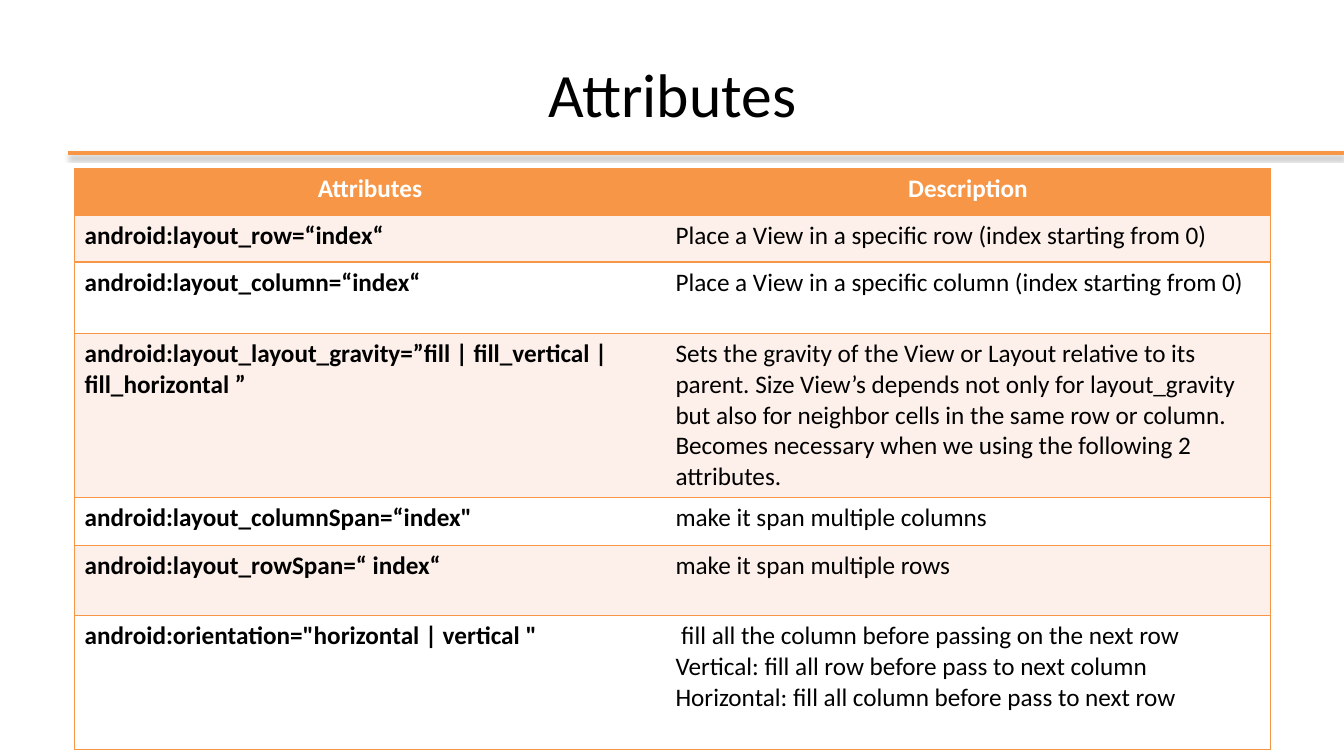
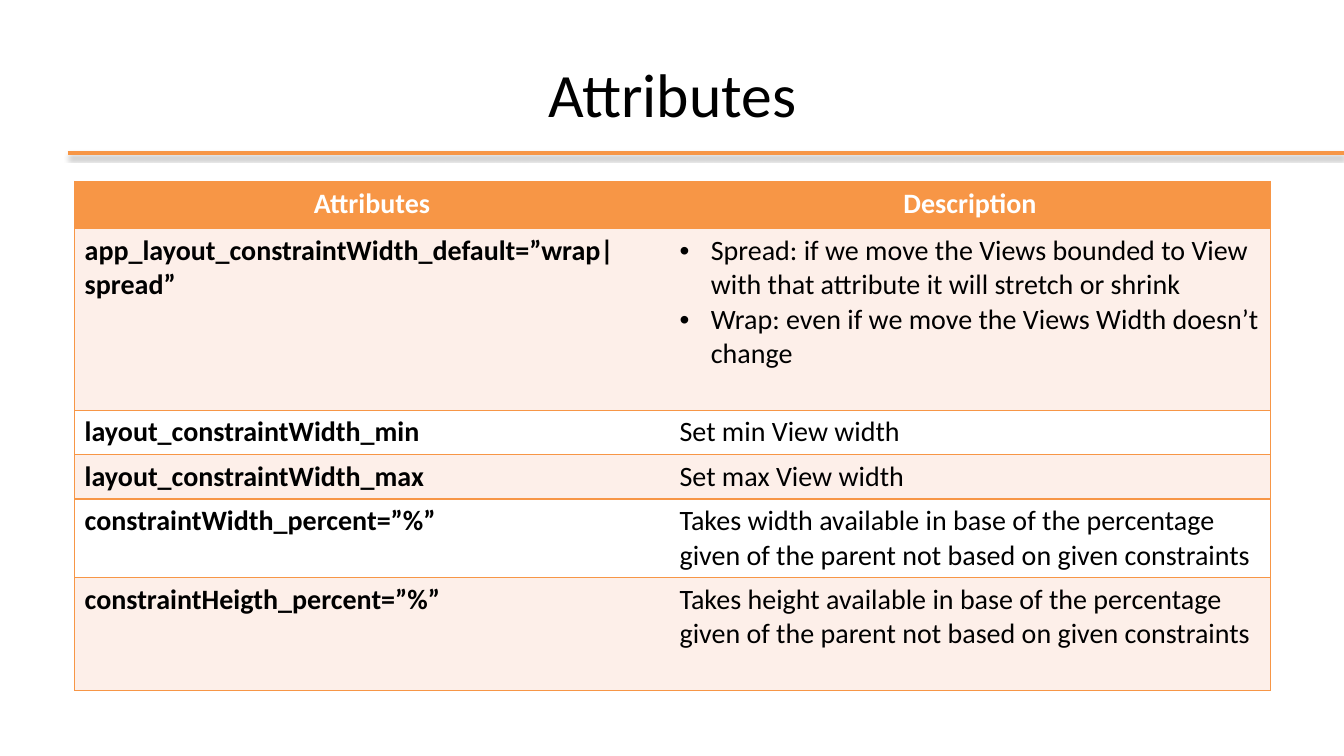
from dataclasses import dataclass

from lxml.etree import SubElement
from pptx import Presentation
from pptx.dml.color import RGBColor
from pptx.enum.shapes import MSO_CONNECTOR
from pptx.enum.text import MSO_ANCHOR, PP_ALIGN
from pptx.oxml.ns import qn
from pptx.util import Inches, Pt


@dataclass(frozen=True)
class Theme:
    """Colours, font and type sizes shared by the slides."""
    accent: str = "F79646"
    band: str = "FDEFE9"
    paper: str = "FFFFFF"
    ink: str = "000000"
    font: str = "Calibri"
    title: int = 44
    rule: int = 3
    border: int = 1


@dataclass(frozen=True)
class Row:
    """One table row: its height, attribute and description paragraphs."""
    height: float
    attribute: str
    description: tuple
    bulleted: bool = False


THEME = Theme()
TITLE = "Attributes"
TITLE_BOX = (0.67, 0.3, 12, 1.25)
HEADER = Row(0.47, "Attributes", ("Description",))

GRID_ROWS = (
    Row(0.46, "android:layout_row=“index“",
        ("Place a View in a specific row (index starting from 0)",)),
    Row(0.71, "android:layout_column=“index“",
        ("Place a View in a specific column (index starting from 0)",)),
    Row(1.63, "android:layout_layout_gravity=”fill | fill_vertical | fill_horizontal ”",
        ("Sets the gravity of the View or Layout relative to its parent. "
         "Size View’s depends not only for layout_gravity but also for "
         "neighbor cells in the same row or column.",
         "Becomes necessary when we using the following 2 attributes.")),
    Row(0.47, "android:layout_columnSpan=“index\"",
        ("make it span multiple columns",)),
    Row(0.7, "android:layout_rowSpan=“ index“",
        ("make it span multiple rows",)),
    Row(1.33, "android:orientation=\"horizontal | vertical \"",
        (" fill all the column before passing on the next row",
         "Vertical: fill all row before pass to next column",
         "Horizontal: fill all column before pass to next row")),
)

CONSTRAINT_ROWS = (
    Row(1.8, "app_layout_constraintWidth_default=”wrap| spread”",
        ("Spread: if we move the Views bounded to View with that attribute "
         "it will stretch or shrink",
         "Wrap: even if we move the Views Width doesn’t change"), True),
    Row(0.44, "layout_constraintWidth_min", ("Set min View width",)),
    Row(0.44, "layout_constraintWidth_max", ("Set max View width",)),
    Row(0.78, "constraintWidth_percent=”%”",
        ("Takes width available in base of the percentage given of the "
         "parent not based on given constraints",)),
    Row(1.12, "constraintHeigth_percent=”%”",
        ("Takes height available in base of the percentage given of the "
         "parent not based on given constraints",)),
)


def add_run(p, text, size, color, bold=False):
    """Add one formatted run to a paragraph."""
    r = p.add_run()
    r.text = text
    r.font.name = THEME.font
    r.font.size = Pt(size)
    r.font.bold = bold
    r.font.color.rgb = RGBColor.from_string(color)


def add_bullet(p, indent=0.31):
    """Give a paragraph a hanging bullet."""
    pPr = p._p.get_or_add_pPr()
    pPr.set("marL", str(Inches(indent)))
    pPr.set("indent", str(-Inches(indent)))
    SubElement(pPr, qn("a:buFont"), typeface="Arial")
    SubElement(pPr, qn("a:buChar"), char="•")


def set_borders(cell, open_side):
    """Rule every side of a cell except the open one."""
    tcPr = cell._tc.get_or_add_tcPr()
    for side in "LRTB":
        ln = SubElement(tcPr, qn(f"a:ln{side}"), w=str(Pt(THEME.border)))
        if side == open_side:
            SubElement(ln, qn("a:noFill"))
        else:
            fill = SubElement(ln, qn("a:solidFill"))
            SubElement(fill, qn("a:srgbClr"), val=THEME.accent)


def fill_cell(cell, texts, size, fill, open_side, bold, header=False, bulleted=False):
    """Write the paragraphs of a cell and colour it."""
    set_borders(cell, open_side)
    cell.fill.solid()
    cell.fill.fore_color.rgb = RGBColor.from_string(fill)
    tf = cell.text_frame
    for i, text in enumerate(texts):
        p = tf.add_paragraph() if i else tf.paragraphs[0]
        p.alignment = PP_ALIGN.CENTER if header else PP_ALIGN.LEFT
        if bulleted:
            add_bullet(p)
        add_run(p, text, size, THEME.paper if header else THEME.ink, bold)


def add_attribute_table(s, left, top, widths, rows, size):
    """Place a banded two-column table at the given corner."""
    rows = (HEADER, *rows)
    height = sum(row.height for row in rows)
    table = s.shapes.add_table(len(rows), len(widths), Inches(left), Inches(top),
                               Inches(sum(widths)), Inches(height)).table
    table.horz_banding = False
    for column, width in zip(table.columns, widths):
        column.width = Inches(width)
    for i, row in enumerate(rows):
        table.rows[i].height = Inches(row.height)
        header = i == 0
        fill = THEME.accent if header else THEME.band if i % 2 else THEME.paper
        fill_cell(table.cell(i, 0), (row.attribute,), size, fill, "R", True, header)
        fill_cell(table.cell(i, 1), row.description, size, fill, "L", header, header,
                  row.bulleted)


def place_title(shape, box):
    """Move a title placeholder to its box."""
    shape.left, shape.top, shape.width, shape.height = map(Inches, box)


def add_title_rule(s, layout, left, right, y):
    """Draw the shadowed rule and hand it to the layout."""
    rule = s.shapes.add_connector(MSO_CONNECTOR.STRAIGHT, Inches(left), Inches(y),
                                  Inches(right), Inches(y))
    rule.line.color.rgb = RGBColor.from_string(THEME.accent)
    rule.line.width = Pt(THEME.rule)
    effects = SubElement(rule.element.spPr, qn("a:effectLst"))
    shadow = SubElement(effects, qn("a:outerShdw"), blurRad=str(Pt(3.1)),
                        dist=str(Pt(1.8)), dir="5400000", rotWithShape="0")
    color = SubElement(shadow, qn("a:srgbClr"), val=THEME.ink)
    SubElement(color, qn("a:alpha"), val="35000")
    layout.shapes.element.append(rule.element)


def add_attribute_slide(prs, layout, top, widths, rows, size):
    """Add a titled slide with one attribute table."""
    s = prs.slides.add_slide(layout)
    title = s.shapes.title
    place_title(title, TITLE_BOX)
    tf = title.text_frame
    tf.vertical_anchor = MSO_ANCHOR.MIDDLE
    p = tf.paragraphs[0]
    p.alignment = PP_ALIGN.CENTER
    add_run(p, TITLE, THEME.title, THEME.ink)
    add_attribute_table(s, 0.74, top, widths, rows, size)
    return s


def main():
    """Build and save the presentation."""
    prs = Presentation()
    prs.slide_width, prs.slide_height = Inches(13.33), Inches(7.5)
    layout = prs.slide_layouts.get_by_name("Title Only")
    s = add_attribute_slide(prs, layout, 1.67, (5.86, 6), GRID_ROWS, 18)
    add_title_rule(s, layout, 0.67, 13.33, 1.52)
    add_attribute_slide(prs, layout, 1.8, (5.9, 5.96), CONSTRAINT_ROWS, 20)
    prs.save("out.pptx")


if __name__ == "__main__":
    main()
